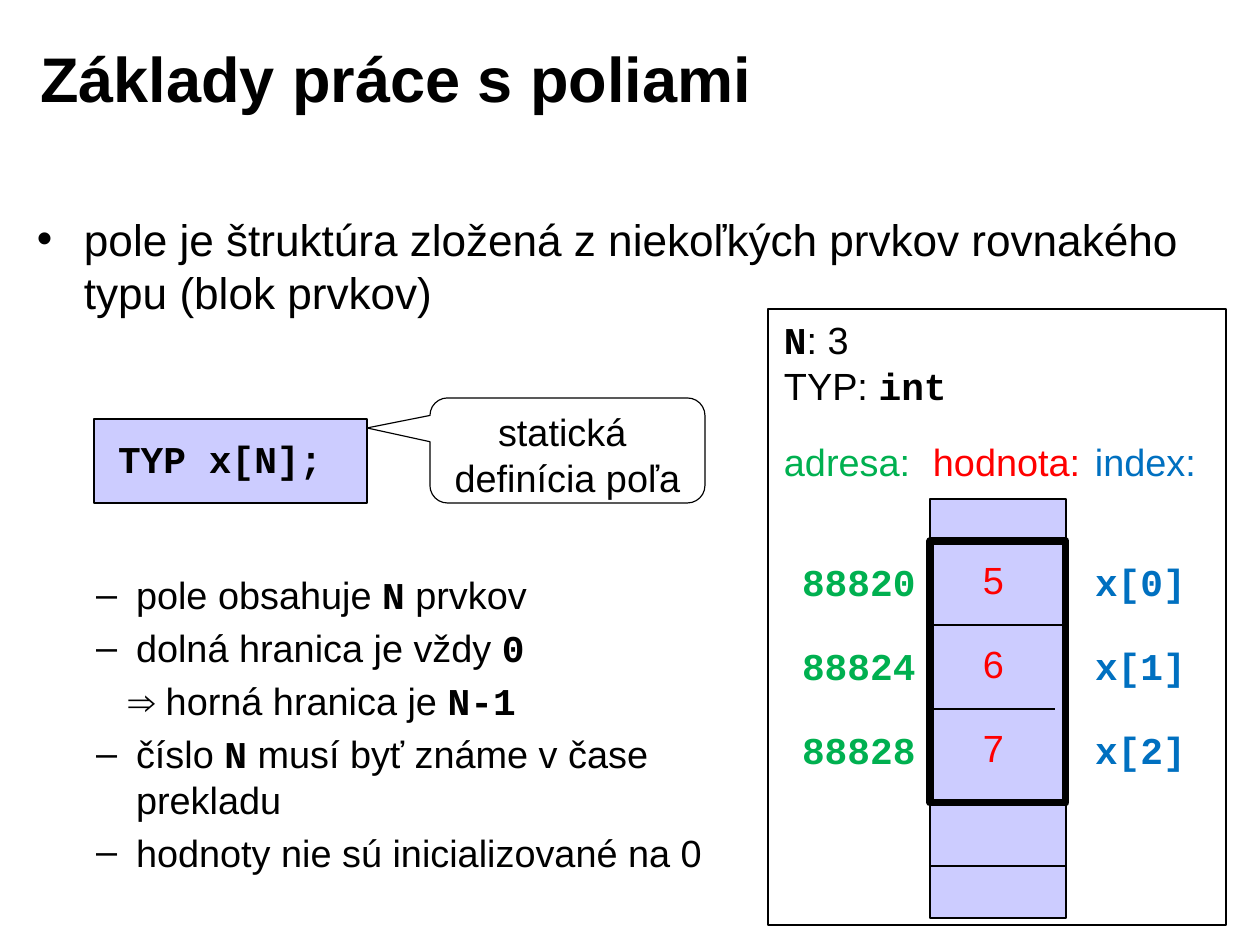
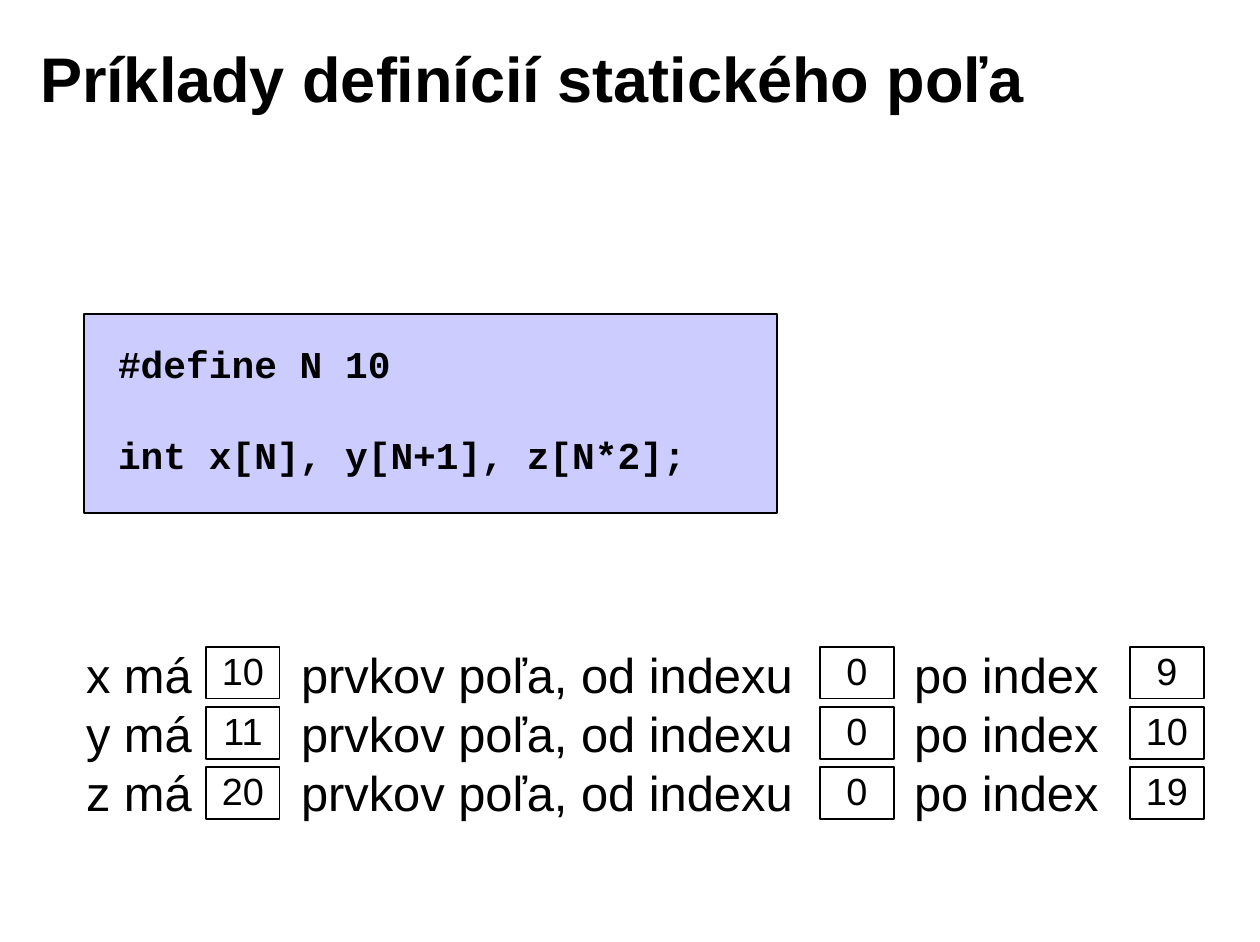
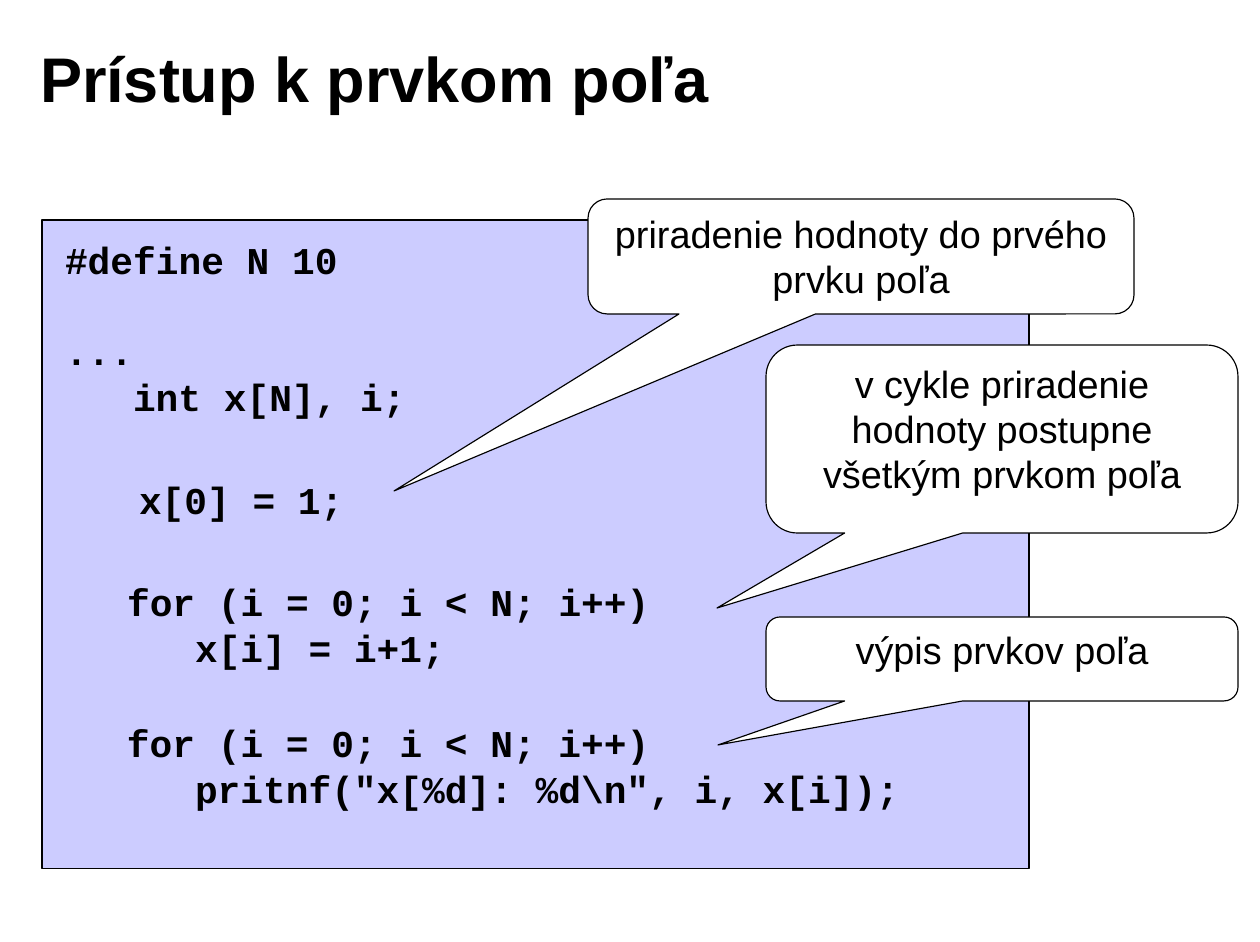
from collections.abc import Sequence
from dataclasses import dataclass

from lxml.etree import SubElement
from pptx import Presentation
from pptx.dml.color import RGBColor
from pptx.enum.shapes import MSO_CONNECTOR as Connector, MSO_SHAPE as Preset
from pptx.enum.text import MSO_ANCHOR as Anchor, PP_ALIGN as Align
from pptx.oxml.ns import qn
from pptx.shapes.autoshape import Shape
from pptx.slide import Slide
from pptx.util import Emu, Pt

SCALE = 914400 / 113.5
BLACK, WHITE, LILAC = "000000", "FFFFFF", "CCCCFF"
RED, GREEN, BLUE = "FF0000", "00B050", "0070C0"
SANS, MONO = "Arial", "Courier New"
BLANK_LINE = 28.8
CODE_INDENT = 68


@dataclass(frozen=True)
class Box:
    """Left, top, width and height in pixels."""
    x: int
    y: int
    w: int
    h: int


@dataclass(frozen=True)
class Style:
    """Look of the text in one block."""
    size: float = 24
    color: str = BLACK
    font: str = SANS
    bold: bool = False
    align: Align = Align.LEFT
    anchor: Anchor = Anchor.TOP


@dataclass(frozen=True)
class Line:
    """One paragraph; words between backticks are set as code."""
    text: str
    left: int = 0
    first: int = 0
    bullet: str = ""
    before: float = 0


@dataclass(frozen=True)
class Callout:
    """A speech bubble and the point it shows."""
    box: Box
    tip: tuple[int, int]
    lines: tuple[str, ...]


@dataclass(frozen=True)
class Cell:
    """One array element in memory."""
    address: str
    value: str
    index: str


BODY = Style()
TITLE = Style(size=40, bold=True, anchor=Anchor.MIDDLE)
CODE = Style(font=MONO, bold=True)
CENTERED = Style(align=Align.CENTER)


def px(length: float) -> Emu:
    """Turn pixels into EMU."""
    return Emu(round(length * SCALE))


def rgb(color: str) -> RGBColor:
    """Turn a hex string into a colour."""
    return RGBColor.from_string(color)


def place(box: Box) -> tuple[Emu, Emu, Emu, Emu]:
    """Give a box in EMU."""
    return px(box.x), px(box.y), px(box.w), px(box.h)


def write(shape: Shape, lines: Sequence[Line | str], style: Style) -> None:
    """Fill a shape with styled paragraphs."""
    frame = shape.text_frame
    frame.word_wrap = True
    frame.vertical_anchor = style.anchor
    frame.margin_left = frame.margin_right = px(12)
    frame.margin_top = frame.margin_bottom = px(6)
    for number, entry in enumerate(lines):
        line = Line(entry) if isinstance(entry, str) else entry
        paragraph = frame.add_paragraph() if number else frame.paragraphs[0]
        paragraph.alignment = style.align
        paragraph.space_before = Pt(line.before)
        properties = paragraph._p.get_or_add_pPr()
        properties.set("marL", str(px(line.left)))
        properties.set("indent", str(px(line.first)))
        if line.bullet:
            SubElement(properties, qn("a:buFont"), typeface=SANS)
            SubElement(properties, qn("a:buChar"), char=line.bullet)
        font = paragraph.font
        font.size, font.name, font.bold = Pt(style.size), style.font, style.bold
        font.color.rgb = rgb(style.color)
        parts = line.text.split("`")
        for position, part in enumerate(parts):
            if not part:
                continue
            run = paragraph.add_run()
            run.text = part
            if len(parts) > 1:
                is_code = position % 2 == 1
                run.font.name = MONO if is_code else SANS
                run.font.bold = is_code


def add_text(slide: Slide, box: Box, lines: Sequence[Line | str], style: Style = BODY) -> None:
    """Add a text box."""
    write(slide.shapes.add_textbox(*place(box)), lines, style)


def add_panel(slide: Slide, box: Box, fill: str | None = None, weight: float = 0.75,
              preset: Preset = Preset.RECTANGLE) -> Shape:
    """Add an outlined shape, filled if a colour is given."""
    panel = slide.shapes.add_shape(preset, *place(box))
    panel.shadow.inherit = False
    if fill:
        panel.fill.solid()
        panel.fill.fore_color.rgb = rgb(fill)
    else:
        panel.fill.background()
    panel.line.color.rgb = rgb(BLACK)
    panel.line.width = Pt(weight)
    return panel


def add_callout(slide: Slide, callout: Callout) -> None:
    """Add a speech bubble whose tail ends at its tip."""
    box, (tip_x, tip_y) = callout.box, callout.tip
    bubble = add_panel(slide, box, WHITE, preset=Preset.ROUNDED_RECTANGULAR_CALLOUT)
    bubble.adjustments[0] = (tip_x - box.x) / box.w - 0.5
    bubble.adjustments[1] = (tip_y - box.y) / box.h - 0.5
    write(bubble, callout.lines, CENTERED)


def add_rule(slide: Slide, left: int, right: int, y: int) -> None:
    """Add a thin horizontal line."""
    rule = slide.shapes.add_connector(Connector.STRAIGHT, px(left), px(y), px(right), px(y))
    rule.line.color.rgb = rgb(BLACK)
    rule.line.width = Pt(0.75)
    SubElement(rule._element.spPr, qn("a:effectLst"))


def add_slide(title: str) -> Slide:
    """Add a blank slide with its title."""
    slide = deck.slides.add_slide(deck.slide_layouts[6])
    add_text(slide, Box(28, 19, 1011, 116), [title], TITLE)
    return slide


def add_memory(slide: Slide, cells: Sequence[Cell]) -> None:
    """Draw the array in memory with addresses, values and indexes."""
    add_panel(slide, Box(930, 499, 136, 419), LILAC)
    for right, y in ((1066, 625), (1055, 709), (1066, 866)):
        add_rule(slide, 930, right, y)
    add_panel(slide, Box(930, 541, 136, 262), weight=4.5)
    add_text(slide, Box(772, 311, 210, 103), ["`N`: 3", "TYP: `int`"])
    for heading, x, color in (("adresa:", 772, GREEN), ("hodnota:", 921, RED), ("index:", 1083, BLUE)):
        add_text(slide, Box(x, 433, 180, 57), [heading], Style(color=color))
    for row, cell in enumerate(cells):
        y = 553 + 84 * row
        add_text(slide, Box(790, y, 150, 57), [cell.address], Style(color=GREEN, font=MONO, bold=True))
        add_text(slide, Box(971, y - 2, 94, 57), [cell.value], Style(color=RED))
        add_text(slide, Box(1083, y, 130, 57), [cell.index], Style(color=BLUE, font=MONO, bold=True))
    add_panel(slide, Box(768, 309, 458, 616), weight=1.5)


def dash(text: str) -> Line:
    """Make a second-level list item."""
    return Line(text, left=102, first=-40, bullet="–", before=4.8)


def build_basics() -> None:
    """Build the slide on array basics."""
    slide = add_slide("Základy práce s poliami")
    definition = "pole je štruktúra zložená z niekoľkých prvkov rovnakého typu (blok prvkov)"
    add_text(slide, Box(25, 206, 1210, 150),
             [Line(definition, left=47, first=-47, bullet="•", before=5.6)], Style(size=28))
    add_panel(slide, Box(94, 419, 273, 84), LILAC)
    add_text(slide, Box(106, 430, 262, 59), ["TYP x[N];"], CODE)
    add_text(slide, Box(22, 566, 752, 334), [
        dash("pole obsahuje `N` prvkov"),
        dash("dolná hranica je vždy `0`"),
        Line("⇒ horná hranica je `N-1`", left=102, first=-8, before=4.8),
        dash("číslo `N` musí byť známe v čase prekladu"),
        dash("hodnoty nie sú inicializované na 0"),
    ])
    add_callout(slide, Callout(Box(430, 398, 275, 105), (367, 428), ("statická ", "definícia poľa")))
    add_memory(slide, [Cell("88820", "5", "x[0]"), Cell("88824", "6", "x[1]"), Cell("88828", "7", "x[2]")])


def build_examples() -> None:
    """Build the slide with definition examples."""
    slide = add_slide("Príklady definícií statického poľa")
    add_panel(slide, Box(84, 314, 693, 199), LILAC)
    add_text(slide, Box(106, 335, 662, 150),
             ["#define N 10", Line("int x[N], y[N+1], z[N*2];", before=BLANK_LINE)], CODE)
    sentence_parts = (
        (Box(74, 639, 150, 188), [f"{name} má" for name in "xyz"]),
        (Box(289, 639, 540, 188), ["prvkov poľa, od indexu"] * 3),
        (Box(902, 639, 240, 188), ["po index"] * 3),
    )
    for box, lines in sentence_parts:
        add_text(slide, box, lines, Style(size=31))
    answers = (("10", "0", "9"), ("11", "0", "10"), ("20", "0", "19"))
    for row, numbers in enumerate(answers):
        y = 647 + 60 * row
        for x, number in zip((206, 820, 1130), numbers):
            add_panel(slide, Box(x, y, 74, 52))
            add_text(slide, Box(x, y - 5, 74, 59), [number], CENTERED)


def build_access() -> None:
    """Build the slide on access to elements."""
    slide = add_slide("Prístup k prvkom poľa")
    add_panel(slide, Box(42, 220, 987, 649), LILAC)
    loop = "for (i = 0; i < N; i++)"
    code_blocks = (
        (Box(53, 231, 714, 196), ["#define N 10", Line("...", before=BLANK_LINE),
                                  Line("int x[N], i;", left=CODE_INDENT)]),
        (Box(127, 471, 294, 58), ["x[0] = 1;"]),
        (Box(115, 573, 714, 103), [loop, Line("x[i] = i+1;", left=CODE_INDENT)]),
        (Box(115, 714, 914, 103), [loop, Line('pritnf("x[%d]: %d\\n", i, x[i]);', left=CODE_INDENT)]),
    )
    for box, lines in code_blocks:
        add_text(slide, box, lines, CODE)
    for callout in (
        Callout(Box(588, 199, 546, 115), (394, 491), ("priradenie hodnoty do prvého prvku poľa",)),
        Callout(Box(766, 345, 472, 188), (717, 608),
                ("v cykle priradenie hodnoty postupne všetkým prvkom poľa",)),
        Callout(Box(766, 617, 472, 84), (718, 745), ("výpis prvkov poľa",)),
    ):
        add_callout(slide, callout)


deck = Presentation()
deck.slide_width, deck.slide_height = px(1260), px(942)
build_basics()
build_examples()
build_access()
deck.save("out.pptx")
